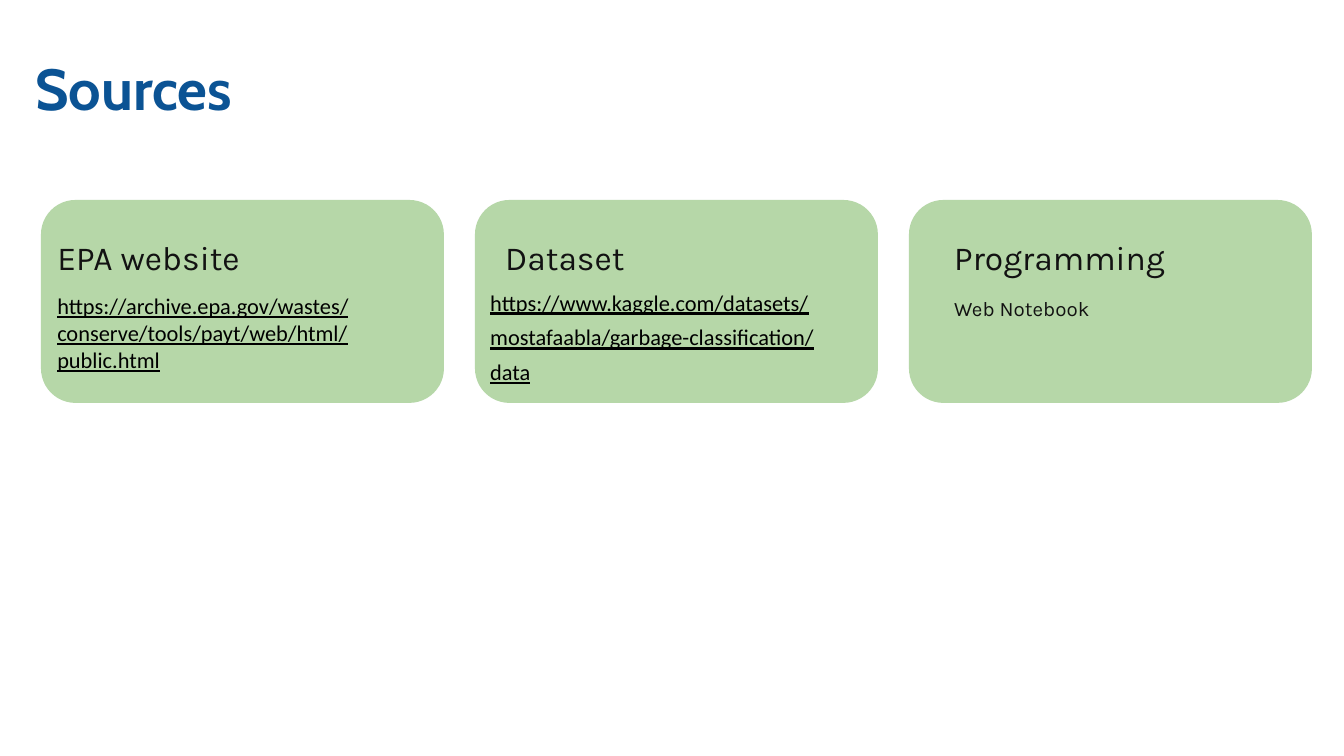
import pptx
import pptx.util
from pptx.dml.color import RGBColor
from pptx.enum.shapes import MSO_SHAPE
from pptx.enum.text import MSO_ANCHOR

EMU_PER_PX = 914400 / 134.4
CARD_LEFT, CARD_TOP, CARD_WIDTH, CARD_HEIGHT = 41, 200, 403, 203
CARD_STEP = 434
TEXT_WIDTH = 388
HEADING_TOP, HEADING_HEIGHT = 226, 63

HEADING_STYLE = {"size": 18, "font": "Karla", "color": "121212"}
NOTE_STYLE = {"size": 11, "font": "Karla", "color": "121212"}
LINK_STYLE = {"size": 12, "font": "Calibri", "color": "000000", "underline": True}
TITLE_STYLE = {"size": 31, "font": "Cabin", "color": "0B5394", "bold": True}

SOURCES = [
    ("EPA website", 44,
     "https://archive.epa.gov/wastes/conserve/tools/payt/web/html/public.html",
     (44, 301, TEXT_WIDTH, 63), LINK_STYLE, 1.0),
    ("Dataset", 492,
     "https://www.kaggle.com/datasets/mostafaabla/garbage-classification/data",
     (477, 288, TEXT_WIDTH, 90), LINK_STYLE, 1.3),
    ("Programming", 941, "Web Notebook",
     (941, 289, TEXT_WIDTH, 39), NOTE_STYLE, 1.0),
]


def px(length):
    """Turn pixels into EMU."""
    return pptx.util.Emu(round(length * EMU_PER_PX))


def rgb(value):
    """Turn a hex string into a colour."""
    return RGBColor.from_string(value)


def add_span(para, text, size, font, color, bold=False, underline=False):
    """Add one styled run to a paragraph."""
    span = para.add_run()
    span.text = text
    span.font.size = pptx.util.Pt(size)
    span.font.name = font
    span.font.color.rgb = rgb(color)
    span.font.bold = bold
    span.font.underline = underline


def add_text(page, text, bounds, style, line_spacing=1.0):
    """Add a wrapped, vertically centred text box."""
    box = page.shapes.add_textbox(*map(px, bounds))
    frame = box.text_frame
    frame.word_wrap = True
    frame.vertical_anchor = MSO_ANCHOR.MIDDLE
    frame.margin_left = frame.margin_right = pptx.util.Inches(0.1)
    frame.margin_top = frame.margin_bottom = pptx.util.Inches(0.1)
    para = frame.paragraphs[0]
    para.line_spacing = line_spacing
    add_span(para, text, **style)


def add_card(page, column):
    """Add the rounded green card of a column."""
    left = CARD_LEFT + column * CARD_STEP
    card = page.shapes.add_shape(
        MSO_SHAPE.ROUNDED_RECTANGLE,
        *map(px, (left, CARD_TOP, CARD_WIDTH, CARD_HEIGHT)))
    card.adjustments[0] = 0.17
    card.shadow.inherit = False
    card.fill.solid()
    card.fill.fore_color.rgb = rgb("B6D7A8")
    card.line.fill.background()


def main():
    """Build the sources slide."""
    deck = pptx.Presentation()
    deck.slide_width, deck.slide_height = px(1344), px(756)
    page = deck.slides.add_slide(deck.slide_layouts[6])
    for column, source in enumerate(SOURCES):
        heading, heading_left, detail, bounds, style, line_spacing = source
        add_card(page, column)
        add_text(page, heading,
                 (heading_left, HEADING_TOP, TEXT_WIDTH, HEADING_HEIGHT),
                 HEADING_STYLE)
        add_text(page, detail, bounds, style, line_spacing)
    add_text(page, "Sources", (22, 0, 560, 183), TITLE_STYLE, 0.9)
    deck.save("out.pptx")


if __name__ == "__main__":
    main()
